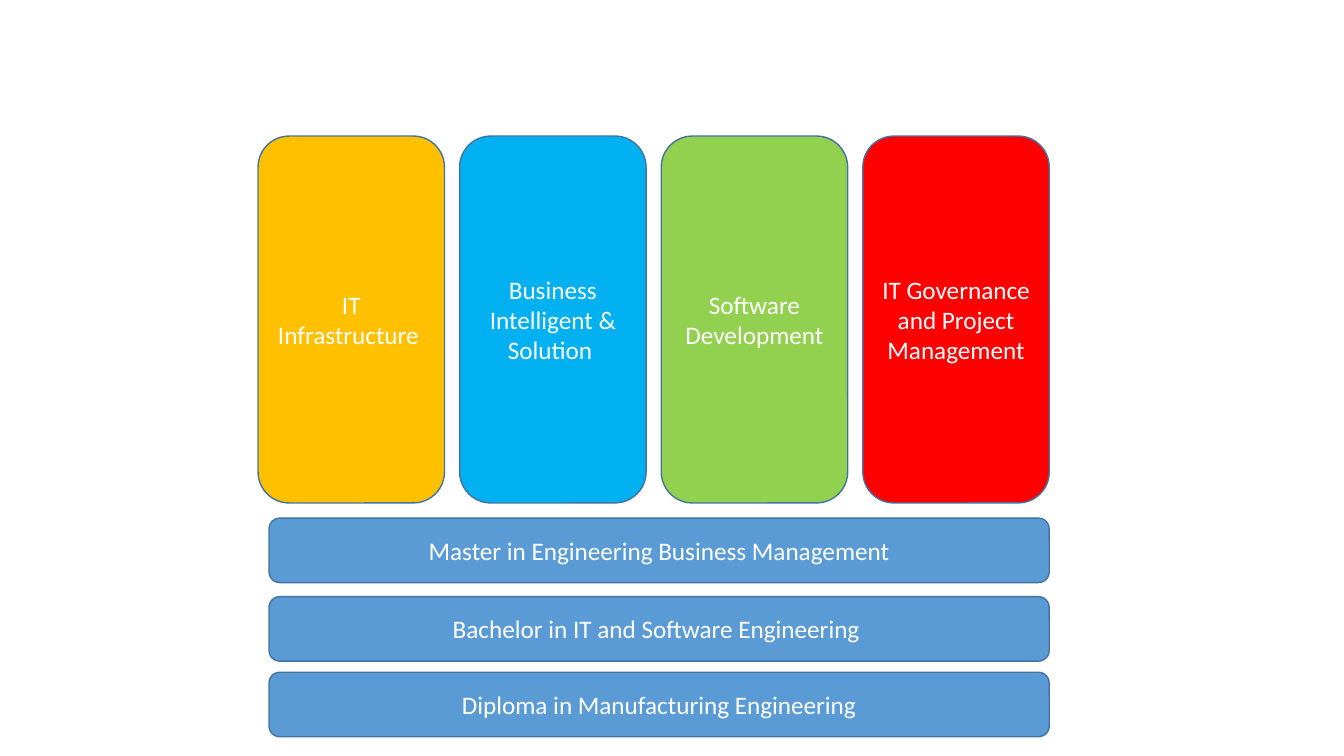
from pptx import Presentation
from pptx.dml.color import RGBColor
from pptx.enum.shapes import MSO_SHAPE as Shape
from pptx.enum.text import MSO_ANCHOR as Anchor, PP_ALIGN as Align
from pptx.util import Pt

PILLARS = [
    ("IT Infrastructure ", "FFC000"),
    ("Business Intelligent & Solution ", "00B0F0"),
    ("Software Development", "92D050"),
    ("IT Governance and Project Management", "FF0000"),
]
DEGREES = [
    ("Master in Engineering Business Management", 370.1),
    ("Bachelor in IT and Software Engineering ", 426.2),
    ("Diploma in Manufacturing Engineering", 480.2),
]
THEME = {
    "font": "Calibri",
    "size": 18,
    "text": "FFFFFF",
    "degree": "5B9BD5",
    "outline": "43739E",
    "outline_width": 1,
}

PILLAR_LEFT, PILLAR_TOP, PILLAR_PITCH = 184.3, 97.2, 144
PILLAR_WIDTH, PILLAR_HEIGHT = 133.2, 262.1
DEGREE_LEFT, DEGREE_WIDTH, DEGREE_HEIGHT = 192.2, 557.3, 46.1


def add_box(page, text, *, left, top, width, height, fill):
    box = page.shapes.add_shape(
        Shape.ROUNDED_RECTANGLE, Pt(left), Pt(top), Pt(width), Pt(height)
    )
    box.shadow.inherit = False
    box.fill.solid()
    box.fill.fore_color.rgb = RGBColor.from_string(fill)
    box.line.color.rgb = RGBColor.from_string(THEME["outline"])
    box.line.width = Pt(THEME["outline_width"])
    frame = box.text_frame
    frame.word_wrap = True
    frame.vertical_anchor = Anchor.MIDDLE
    para = frame.paragraphs[0]
    para.alignment = Align.CENTER
    span = para.add_run()
    span.text = text
    span.font.name = THEME["font"]
    span.font.size = Pt(THEME["size"])
    span.font.color.rgb = RGBColor.from_string(THEME["text"])


def main():
    deck = Presentation()
    deck.slide_width, deck.slide_height = Pt(960), Pt(540)
    page = deck.slides.add_slide(deck.slide_layouts[6])
    for index, (name, color) in enumerate(PILLARS):
        add_box(page, name, left=PILLAR_LEFT + index * PILLAR_PITCH, top=PILLAR_TOP,
                width=PILLAR_WIDTH, height=PILLAR_HEIGHT, fill=color)
    for name, top in DEGREES:
        add_box(page, name, left=DEGREE_LEFT, top=top,
                width=DEGREE_WIDTH, height=DEGREE_HEIGHT, fill=THEME["degree"])
    deck.save("out.pptx")


if __name__ == "__main__":
    main()
